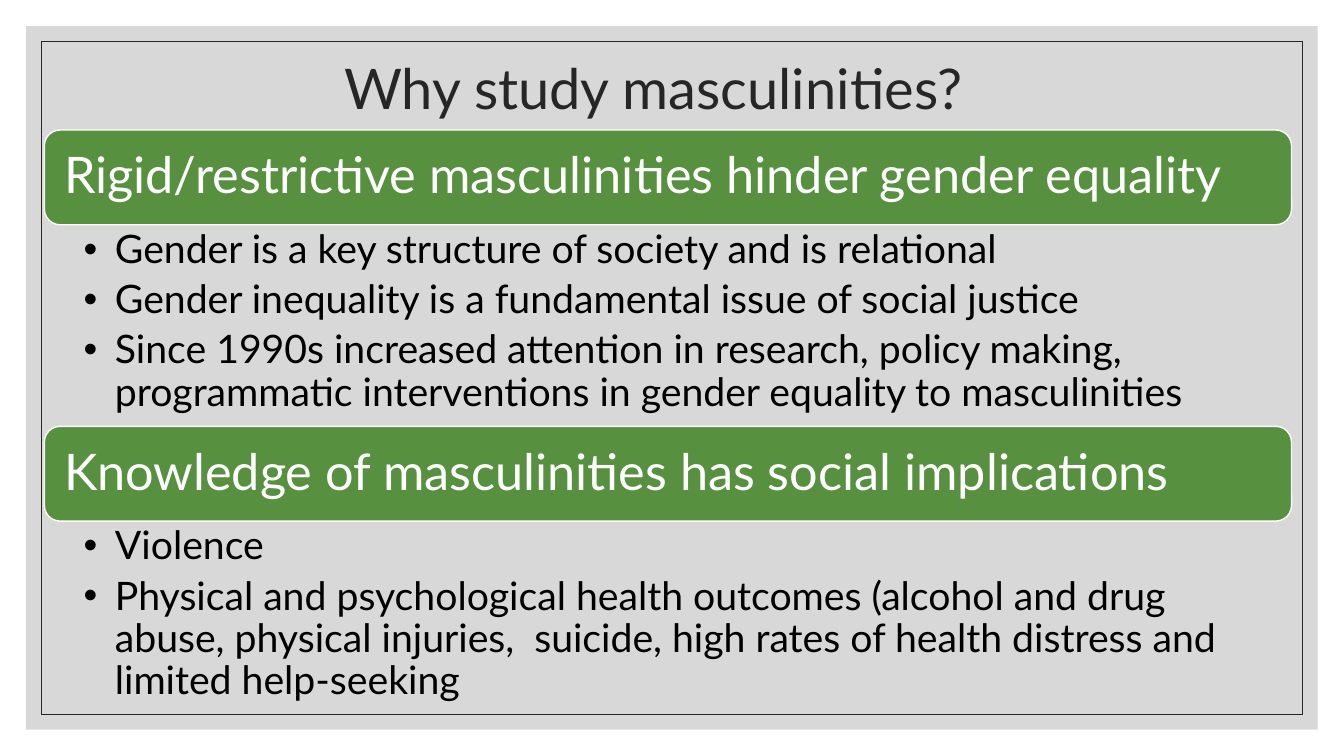
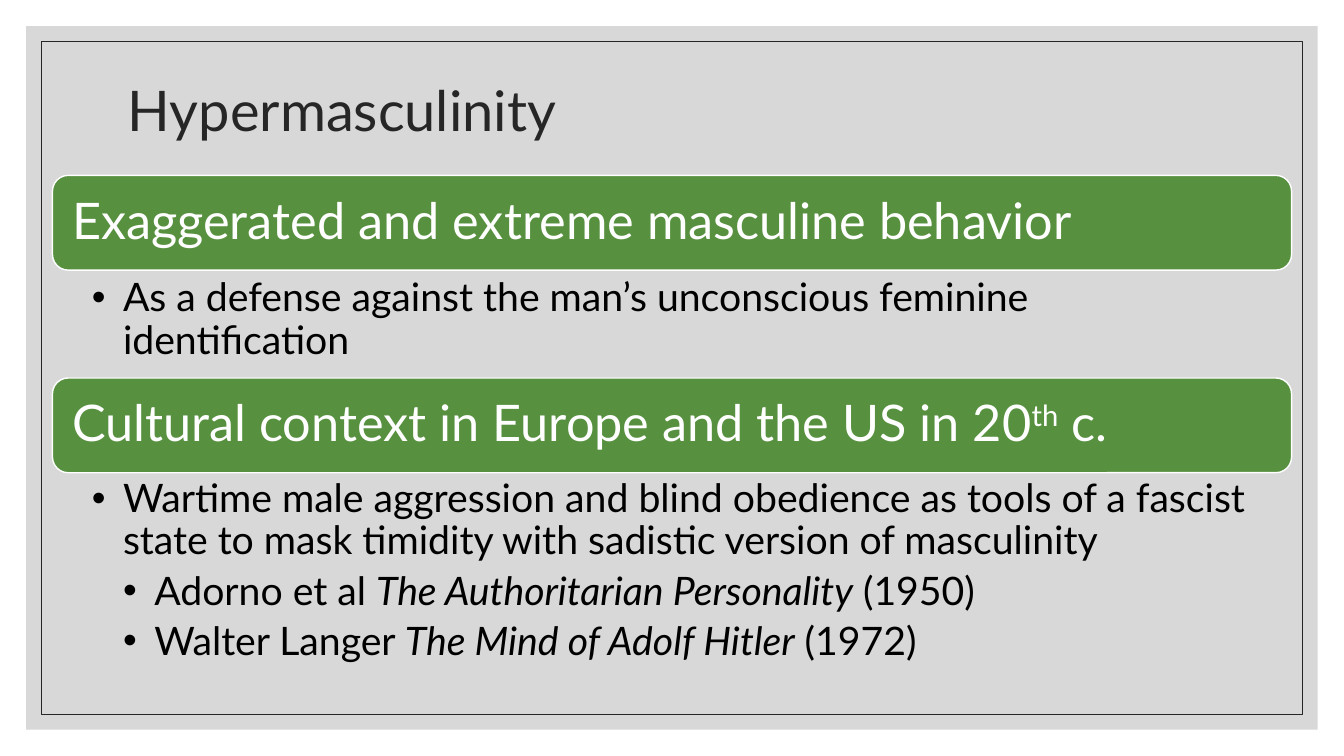
from dataclasses import dataclass

from lxml.etree import SubElement
from pptx import Presentation
from pptx.dml.color import RGBColor
from pptx.enum.shapes import MSO_SHAPE
from pptx.enum.text import MSO_ANCHOR, PP_ALIGN
from pptx.oxml.ns import qn
from pptx.util import Inches, Pt


@dataclass(frozen=True)
class Theme:
    font: str = "Lato"
    panel: RGBColor = RGBColor(0xBF, 0xBF, 0xBF)
    ink: RGBColor = RGBColor(0x26, 0x26, 0x26)
    band: RGBColor = RGBColor(0x57, 0x90, 0x3F)
    white: RGBColor = RGBColor(0xFF, 0xFF, 0xFF)
    black: RGBColor = RGBColor(0x00, 0x00, 0x00)
    panel_opacity: int = 60
    title_size: int = 40
    band_size: int = 36
    body_size: int = 28


THEME = Theme()
SLIDE_WIDTH, SLIDE_HEIGHT = 13.33, 7.5
PANEL_MARGIN, FRAME_MARGIN = 0.26, 0.41
CONTENT_RIGHT = 12.81
BAND_HEIGHT = 0.94
BULLET_INDENT = 0.31

# Content: a text is a list of (words, style) spans; a bullet is (level, spans)
PLAIN, ITALIC, SUPER = "plain", "italic", "superscript"

SLIDES = [
    {
        "title": "Why study masculinities?",
        "title_box": (1.14, 0.45, 10.68, 0.91),
        "title_align": PP_ALIGN.CENTER,
        "left": 0.44,
        "sections": [
            {
                "band_top": 1.29, "body_top": 2.23, "body_height": 2,
                "heading": [("Rigid/restrictive masculinities hinder gender equality", PLAIN)],
                "bullets": [
                    (1, [("Gender is a key structure of society and is relational", PLAIN)]),
                    (1, [("Gender inequality is a fundamental issue of social justice", PLAIN)]),
                    (1, [("Since 1990s increased attention in research, policy making, "
                          "programmatic interventions in gender equality to masculinities", PLAIN)]),
                ],
            },
            {
                "band_top": 4.23, "body_top": 5.17, "body_height": 1.87,
                "heading": [("Knowledge of masculinities has social implications", PLAIN)],
                "bullets": [
                    (1, [("Violence", PLAIN)]),
                    (1, [("Physical and psychological health outcomes (alcohol and drug abuse, "
                          "physical injuries,  suicide, high rates of health distress and "
                          "limited help-seeking", PLAIN)]),
                ],
            },
        ],
    },
    {
        "title": "Hypermasculinity",
        "title_box": (1.17, 0.7, 10.64, 0.86),
        "title_align": PP_ALIGN.LEFT,
        "left": 0.52,
        "sections": [
            {
                "band_top": 1.74, "body_top": 2.71, "body_height": 0.96,
                "heading": [("Exaggerated and extreme masculine behavior", PLAIN)],
                "bullets": [
                    (1, [("As a defense against the man’s unconscious feminine identification", PLAIN)]),
                ],
            },
            {
                "band_top": 3.75, "body_top": 4.7, "body_height": 2,
                "heading": [("Cultural context in Europe and the US in 20", PLAIN),
                            ("th", SUPER), (" c.", PLAIN)],
                "bullets": [
                    (1, [("Wartime male aggression and blind obedience as tools of a fascist "
                          "state to mask timidity with sadistic version of masculinity", PLAIN)]),
                    (2, [("Adorno et al ", PLAIN), ("The Authoritarian Personality", ITALIC),
                         (" (1950)", PLAIN)]),
                    (2, [("Walter Langer ", PLAIN), ("The Mind of Adolf Hitler", ITALIC),
                         (" (1972)", PLAIN)]),
                ],
            },
        ],
    },
]


# Shapes and text
def add_box(page, preset, left, top, width, height):
    box = page.shapes.add_shape(preset, Inches(left), Inches(top), Inches(width), Inches(height))
    box.shadow.inherit = False
    return box


def add_text_box(page, left, top, width, height):
    return page.shapes.add_textbox(Inches(left), Inches(top), Inches(width), Inches(height))


def set_frame(box, anchor, left=0.1, top=0.05, right=0.1, bottom=0.05):
    frame = box.text_frame
    frame.word_wrap = True
    frame.vertical_anchor = anchor
    frame.margin_left, frame.margin_right = Inches(left), Inches(right)
    frame.margin_top, frame.margin_bottom = Inches(top), Inches(bottom)
    return frame


def write(para, spans, size, color, align=PP_ALIGN.LEFT):
    para.alignment = align
    para.line_spacing = 0.9
    for words, style in spans:
        span = para.add_run()
        span.text = words
        span.font.name = THEME.font
        span.font.size = Pt(size)
        span.font.color.rgb = color
        if style == ITALIC:
            span.font.italic = True
        elif style == SUPER:
            span.font._element.set("baseline", "30000")


def add_bullet(para, level):
    properties = para._p.get_or_add_pPr()
    properties.set("marL", str(Inches(BULLET_INDENT * level)))
    properties.set("indent", str(-Inches(BULLET_INDENT)))
    SubElement(properties, qn("a:buFont")).set("typeface", "Arial")
    SubElement(properties, qn("a:buChar")).set("char", "•")


# Slide parts
def add_margin_box(page, margin):
    return add_box(page, MSO_SHAPE.RECTANGLE, margin, margin,
                   SLIDE_WIDTH - 2 * margin, SLIDE_HEIGHT - 2 * margin)


def add_backdrop(page):
    panel = add_margin_box(page, PANEL_MARGIN)
    panel.fill.solid()
    panel.fill.fore_color.rgb = THEME.panel
    color = panel._element.spPr.find(qn("a:solidFill")).find(qn("a:srgbClr"))
    SubElement(color, qn("a:alpha")).set("val", str(THEME.panel_opacity * 1000))
    panel.line.fill.background()

    frame = add_margin_box(page, FRAME_MARGIN)
    frame.fill.background()
    frame.line.color.rgb = THEME.ink
    frame.line.width = Pt(0.5)


def add_title(page, content):
    frame = set_frame(add_text_box(page, *content["title_box"]), MSO_ANCHOR.MIDDLE)
    write(frame.paragraphs[0], [(content["title"], PLAIN)],
          THEME.title_size, THEME.ink, content["title_align"])


def add_section(page, left, section):
    width = CONTENT_RIGHT - left
    band = add_box(page, MSO_SHAPE.ROUNDED_RECTANGLE, left, section["band_top"], width, BAND_HEIGHT)
    band.fill.solid()
    band.fill.fore_color.rgb = THEME.band
    band.line.color.rgb = THEME.white
    band.line.width = Pt(1)
    # The rounded corners already inset the text by about 0.05
    frame = set_frame(band, MSO_ANCHOR.MIDDLE, 0.15, 0.15, 0.15, 0.15)
    write(frame.paragraphs[0], section["heading"], THEME.band_size, THEME.white)

    body = add_text_box(page, left, section["body_top"], width, section["body_height"])
    frame = set_frame(body, MSO_ANCHOR.TOP, left=0.39, right=0.28)
    for index, (level, spans) in enumerate(section["bullets"]):
        para = frame.add_paragraph() if index else frame.paragraphs[0]
        write(para, spans, THEME.body_size, THEME.black)
        para.space_after = Pt(THEME.body_size * 0.2)
        add_bullet(para, level)


def main():
    deck = Presentation()
    deck.slide_width, deck.slide_height = Inches(SLIDE_WIDTH), Inches(SLIDE_HEIGHT)
    for content in SLIDES:
        page = deck.slides.add_slide(deck.slide_layouts[6])
        add_backdrop(page)
        add_title(page, content)
        for section in content["sections"]:
            add_section(page, content["left"], section)
    deck.save("out.pptx")


if __name__ == "__main__":
    main()
